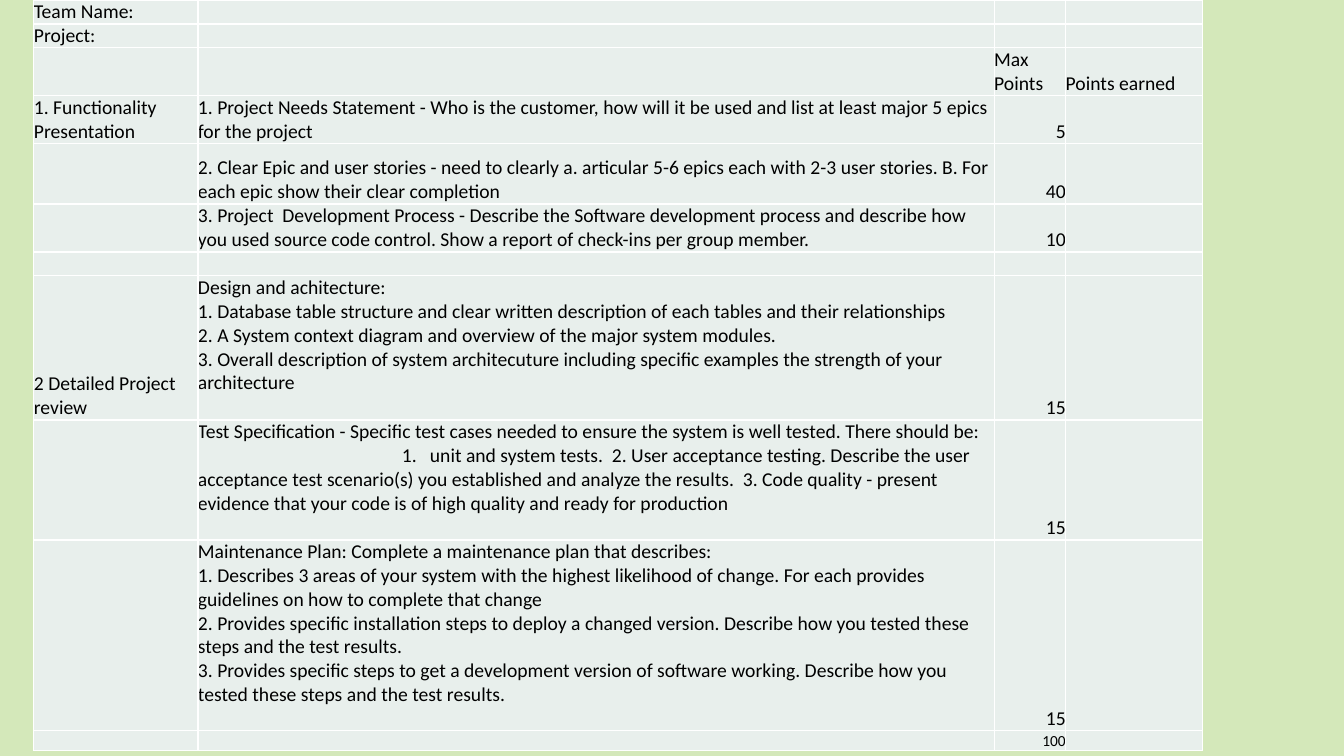
import pptx
import pptx.dml.color
import pptx.enum.text
import pptx.oxml.ns
import pptx.util
from lxml import etree

Pt = pptx.util.Pt
qn = pptx.oxml.ns.qn

# Content: label, criterion, maximum points, points earned
RUBRIC = [
    ("Team Name:", "", "", ""),
    ("Project:", "", "", ""),
    ("", "", "Max Points", "Points earned"),
    ("1. Functionality Presentation",
     "1. Project Needs Statement - Who is the customer, how will it be used and list "
     "at least major 5 epics for the project", "5", ""),
    ("",
     "2. Clear Epic and user stories - need to clearly a. articular 5-6 epics each with "
     "2-3 user stories. B. For each epic show their clear completion", "40", ""),
    ("",
     "3. Project  Development Process - Describe the Software development process and "
     "describe how you used source code control. Show a report of check-ins per group "
     "member.", "10", ""),
    ("", "", "", ""),
    ("2 Detailed Project review",
     "Design and achitecture:\n"
     "1. Database table structure and clear written description of each tables and "
     "their relationships\n"
     "2. A System context diagram and overview of the major system modules.\n"
     "3. Overall description of system architecuture including specific examples the "
     "strength of your architecture", "15", ""),
    ("",
     "Test Specification - Specific test cases needed to ensure the system is well "
     "tested. There should be:\n"
     "\t1.\tunit and system tests.  2. User acceptance testing. Describe the user "
     "acceptance test scenario(s) you established and analyze the results.  3. Code "
     "quality - present evidence that your code is of high quality and ready for "
     "production", "15", ""),
    ("",
     "Maintenance Plan: Complete a maintenance plan that describes:\n"
     "1. Describes 3 areas of your system with the highest likelihood of change. For "
     "each provides guidelines on how to complete that change\n"
     "2. Provides specific installation steps to deploy a changed version. Describe "
     "how you tested these steps and the test results.\n"
     "3. Provides specific steps to get a development version of software working. "
     "Describe how you tested these steps and the test results.", "15", ""),
    ("", "", "100", ""),
]
COLUMN_WIDTHS = [117.2, 568.8, 51.1, 97.9]
ROW_HEIGHTS = [17.1, 17.1, 34.3, 34.3, 42.9, 34.3, 17.1, 102.9, 85.7, 136.4, 14.3]
TAB_STOPS = [145.7, 165.7]
LEFT, TOP = 24.2, 0
BODY_SIZE, TOTAL_SIZE = 14, 11
FONT, TEXT, CELL, BORDER, BACKGROUND = "Calibri", "000000", "E8EFEC", "FFFFFF", "D4E8BA"


def color(value):
    return pptx.dml.color.RGBColor.from_string(value)


def add_borders(cell):
    properties = cell._tc.get_or_add_tcPr()
    for side in ("a:lnL", "a:lnR", "a:lnT", "a:lnB"):
        line = etree.SubElement(properties, qn(side), w=str(Pt(1)))
        fill = etree.SubElement(line, qn("a:solidFill"))
        etree.SubElement(fill, qn("a:srgbClr"), val=BORDER)


def add_tab_stops(paragraph):
    tabs = etree.SubElement(paragraph._p.get_or_add_pPr(), qn("a:tabLst"))
    for position in TAB_STOPS:
        etree.SubElement(tabs, qn("a:tab"), pos=str(Pt(position)), algn="l")


def format_cell(cell, text, size):
    cell.text = text
    cell.margin_left = cell.margin_right = cell.margin_top = cell.margin_bottom = 0
    # Long criteria start at the top, everything else sits on the bottom
    anchor = pptx.enum.text.MSO_ANCHOR
    cell.vertical_anchor = anchor.TOP if "\n" in text else anchor.BOTTOM
    add_borders(cell)
    cell.fill.solid()
    cell.fill.fore_color.rgb = color(CELL)
    for paragraph in cell.text_frame.paragraphs:
        if "\t" in paragraph.text:
            add_tab_stops(paragraph)
        if text.isdigit():
            paragraph.alignment = pptx.enum.text.PP_ALIGN.RIGHT
        paragraph.font.name = FONT
        paragraph.font.size = Pt(size)
        paragraph.font.color.rgb = color(TEXT)
        if not text:  # keeps empty rows as low as their text size
            for old in paragraph._p.findall(qn("a:endParaRPr")):
                paragraph._p.remove(old)
            etree.SubElement(paragraph._p, qn("a:endParaRPr"), sz=str(size * 100))


# Slide and background
presentation = pptx.Presentation()
presentation.slide_width, presentation.slide_height = Pt(960), Pt(540)
slide = presentation.slides.add_slide(presentation.slide_layouts[6])
slide.background.fill.solid()
slide.background.fill.fore_color.rgb = color(BACKGROUND)

# Rubric table
table = slide.shapes.add_table(
    len(RUBRIC), len(COLUMN_WIDTHS), Pt(LEFT), Pt(TOP),
    Pt(sum(COLUMN_WIDTHS)), Pt(sum(ROW_HEIGHTS))).table
table.first_row = table.horz_banding = False
for column, width in zip(table.columns, COLUMN_WIDTHS):
    column.width = Pt(width)
for row, height, texts in zip(table.rows, ROW_HEIGHTS, RUBRIC):
    row.height = Pt(height)
    size = TOTAL_SIZE if texts is RUBRIC[-1] else BODY_SIZE
    for cell, text in zip(row.cells, texts):
        format_cell(cell, text, size)

presentation.save("out.pptx")
